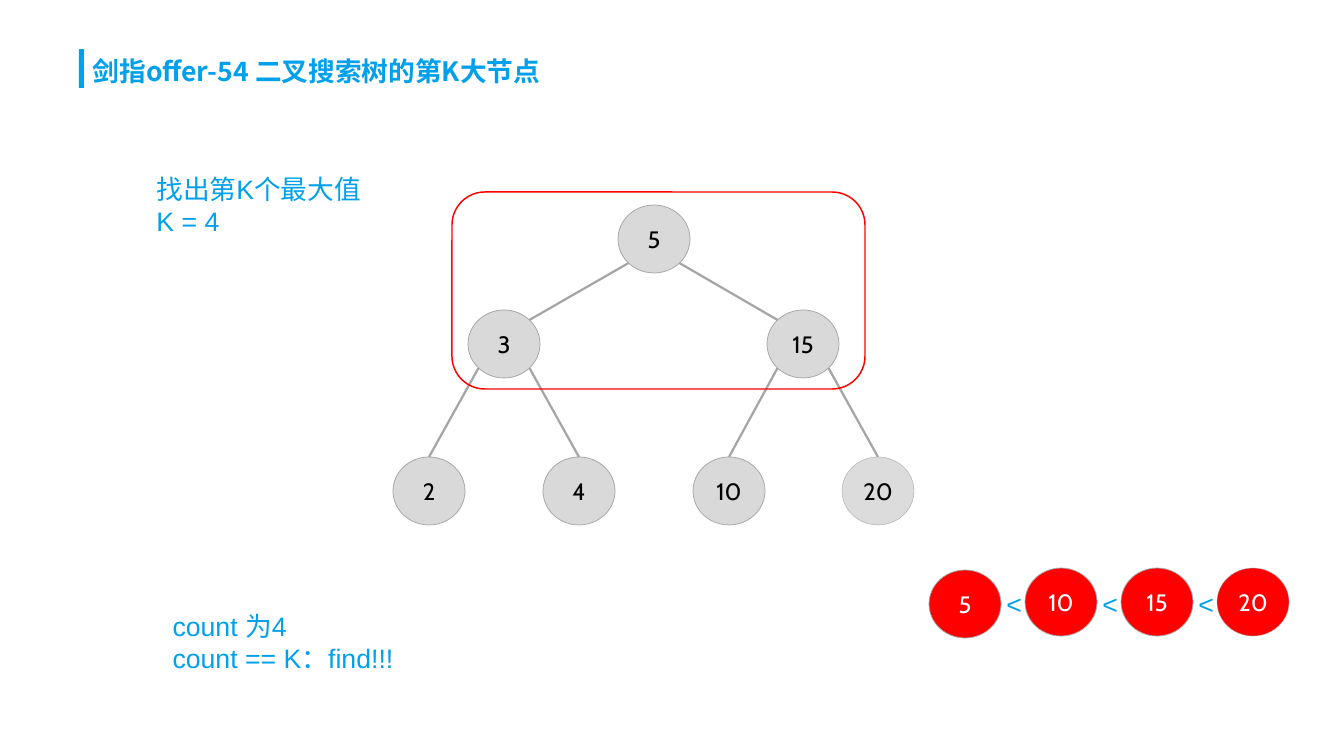
from lxml import etree
from pptx import Presentation
from pptx.dml.color import RGBColor
from pptx.enum.shapes import MSO_CONNECTOR, MSO_SHAPE
from pptx.enum.text import MSO_ANCHOR, MSO_AUTO_SIZE, PP_ALIGN
from pptx.oxml.ns import qn
from pptx.util import Emu, Pt

ELLIPSE, RECT, ROUNDED = MSO_SHAPE.OVAL, MSO_SHAPE.RECTANGLE, MSO_SHAPE.ROUNDED_RECTANGLE
STRAIGHT = MSO_CONNECTOR.STRAIGHT
TOP, MIDDLE = MSO_ANCHOR.TOP, MSO_ANCHOR.MIDDLE
LEFT, CENTER = PP_ALIGN.LEFT, PP_ALIGN.CENTER
GROW = MSO_AUTO_SIZE.SHAPE_TO_FIT_TEXT

EMU_PER_PX = 8572.5
NODE_W, NODE_H = 72, 68
DIAGONAL = 0.354  # half of cos 45°: where an edge meets a node


def px(length):
    return Emu(round(length * EMU_PER_PX))


def rgb(color):
    return RGBColor.from_string(color)


class TreeSlide:
    blue, gray, red = "00A0EA", "A5A5A5", "FF0000"
    body_font, node_font, cjk_font = "Arial", "Cabin", "Noto Sans CJK JP"

    def __init__(self, prs):
        self.slide = prs.slides.add_slide(prs.slide_layouts[5])
        self.shapes = self.slide.shapes

    def style(self, frame, size, font, color, align=LEFT, bold=False):
        for paragraph in frame.paragraphs:
            paragraph.alignment = align
            for run in paragraph.runs:
                run.font.size = Pt(size)
                run.font.name = font
                run.font.bold = bold
                run.font.color.rgb = rgb(color)
                east_asian = etree.SubElement(run.font._element, qn("a:ea"))
                east_asian.set("typeface", self.cjk_font)

    def title(self, text, x, y, w, h):
        title = self.shapes.title
        title.left, title.top, title.width, title.height = map(px, (x, y, w, h))
        frame = title.text_frame
        frame.text = text
        frame.vertical_anchor = TOP
        self.style(frame, 18, self.cjk_font, self.blue, bold=True)

    def shape(self, kind, x, y, w, h, fill=None, line=None, line_width=0.5):
        shape = self.shapes.add_shape(kind, *map(px, (x, y, w, h)))
        shape.shadow.inherit = False
        if fill:
            shape.fill.solid()
            shape.fill.fore_color.rgb = rgb(fill)
        else:
            shape.fill.background()
        if line:
            shape.line.color.rgb = rgb(line)
            shape.line.width = Pt(line_width)
        else:
            shape.line.fill.background()
        return shape

    def node(self, value, cx, cy, fill="D9D9D9", color="000000", line_width=0.5):
        node = self.shape(ELLIPSE, cx - NODE_W // 2, cy - NODE_H // 2, NODE_W, NODE_H,
                          fill, self.gray, line_width)
        frame = node.text_frame
        frame.margin_left = frame.margin_right = 0
        frame.text = value
        frame.vertical_anchor = MIDDLE
        self.style(frame, 16, self.node_font, color, CENTER)

    def edge(self, x1, y1, x2, y2):
        edge = self.shapes.add_connector(STRAIGHT, *map(px, (x1, y1, x2, y2)))
        edge.line.color.rgb = rgb(self.gray)
        edge.line.width = Pt(1.5)
        etree.SubElement(edge._element.spPr, qn("a:effectLst"))

    def text(self, text, x, y, w, h):
        frame = self.shapes.add_textbox(*map(px, (x, y, w, h))).text_frame
        frame.word_wrap = True
        frame.auto_size = GROW
        frame.vertical_anchor = MIDDLE
        frame.margin_top, frame.margin_bottom = 0, px(18)
        frame.text = text
        self.style(frame, 18, self.body_font, self.blue)


def main():
    prs = Presentation()
    prs.slide_width, prs.slide_height = px(1344), px(756)
    page = TreeSlide(prs)

    # Heading
    page.title("剑指offer-54 二叉搜索树的第K大节点", 82, 49, 671, 43)
    page.shape(RECT, 79, 49, 5, 39, page.blue)

    # Search tree: each level is centred over the one below
    levels = [["5"], ["3", "15"], ["2", "4", "10", "20"]]
    level_y = [239, 344, 491]
    level_x = [[654], [504, 803], [429, 579, 729, 878]]
    dx, dy = NODE_W * DIAGONAL, NODE_H * DIAGONAL
    for depth in (1, 2):
        for i, child_x in enumerate(level_x[depth]):
            side = 1 if i % 2 else -1
            parent_x = level_x[depth - 1][i // 2]
            # Inner children are met at the shoulder, leaves at the top
            end_x = child_x - side * dx if depth == 1 else child_x
            end_y = level_y[depth] - (dy if depth == 1 else NODE_H / 2)
            page.edge(parent_x + side * dx, level_y[depth - 1] + dy, end_x, end_y)
    for values, xs, y in zip(levels, level_x, level_y):
        for value, x in zip(values, xs):
            if value == "20":
                page.node(value, x, y, fill="DCDCDC", line_width=0.25)
            else:
                page.node(value, x, y)

    # Task and highlighted subtree
    page.text("找出第K个最大值\nK = 4", 146, 172, 322, 83)
    page.shape(ROUNDED, 452, 192, 413, 197, line=page.red, line_width=1)

    # The K largest values in order
    pitch = 96
    for i, value in enumerate(["5", "10", "15", "20"]):
        page.node(value, 965 + i * pitch, 604 if i == 0 else 602, page.red, "FFFFFF",
                  0.25 if value == "20" else 0.5)
    for i in range(3):
        page.text("<", 996 + i * pitch, 587, 39, 51)

    # Result
    page.text("count 为4\ncount == K：find!!!", 162, 609, 517, 83)

    prs.save("out.pptx")


if __name__ == "__main__":
    main()
